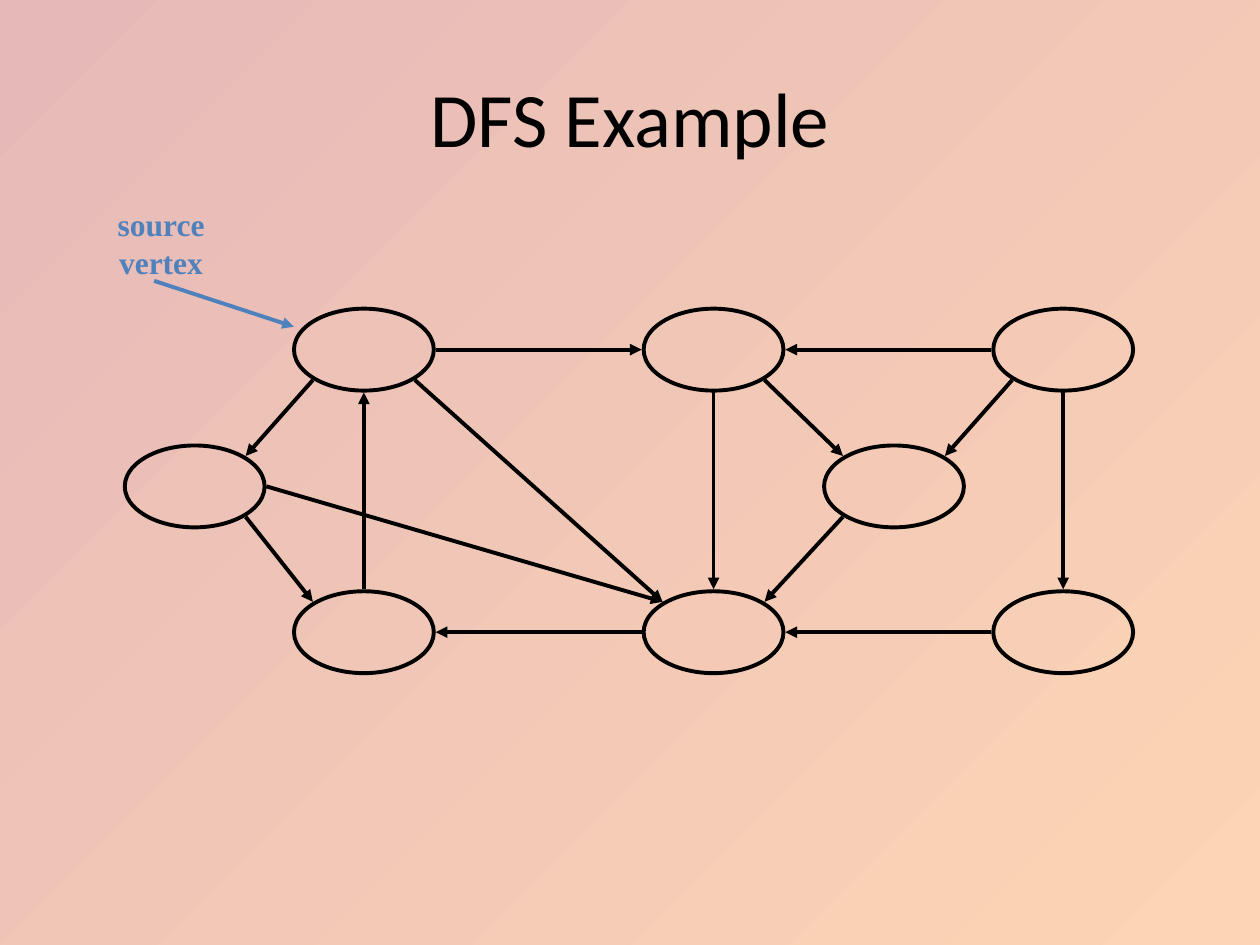
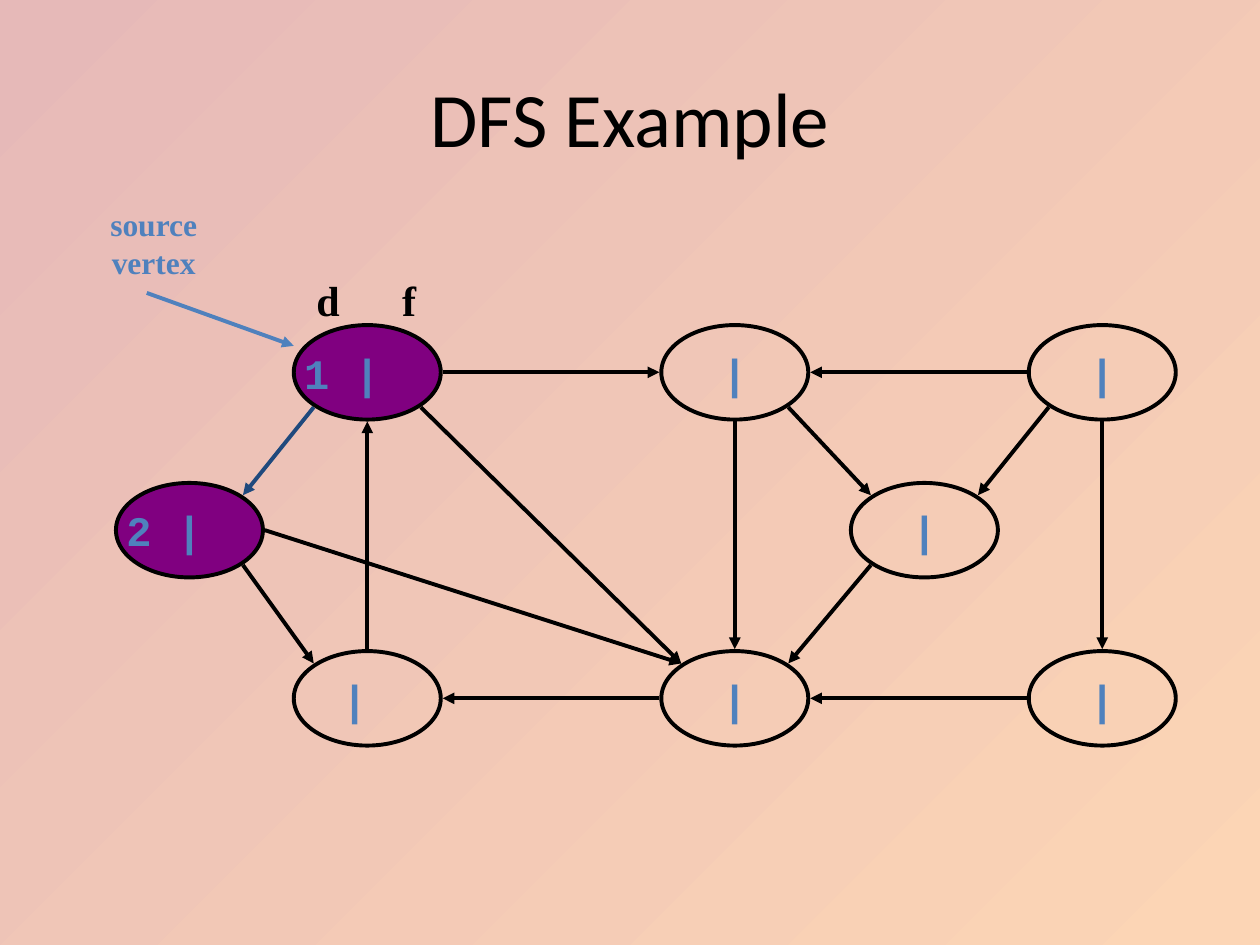
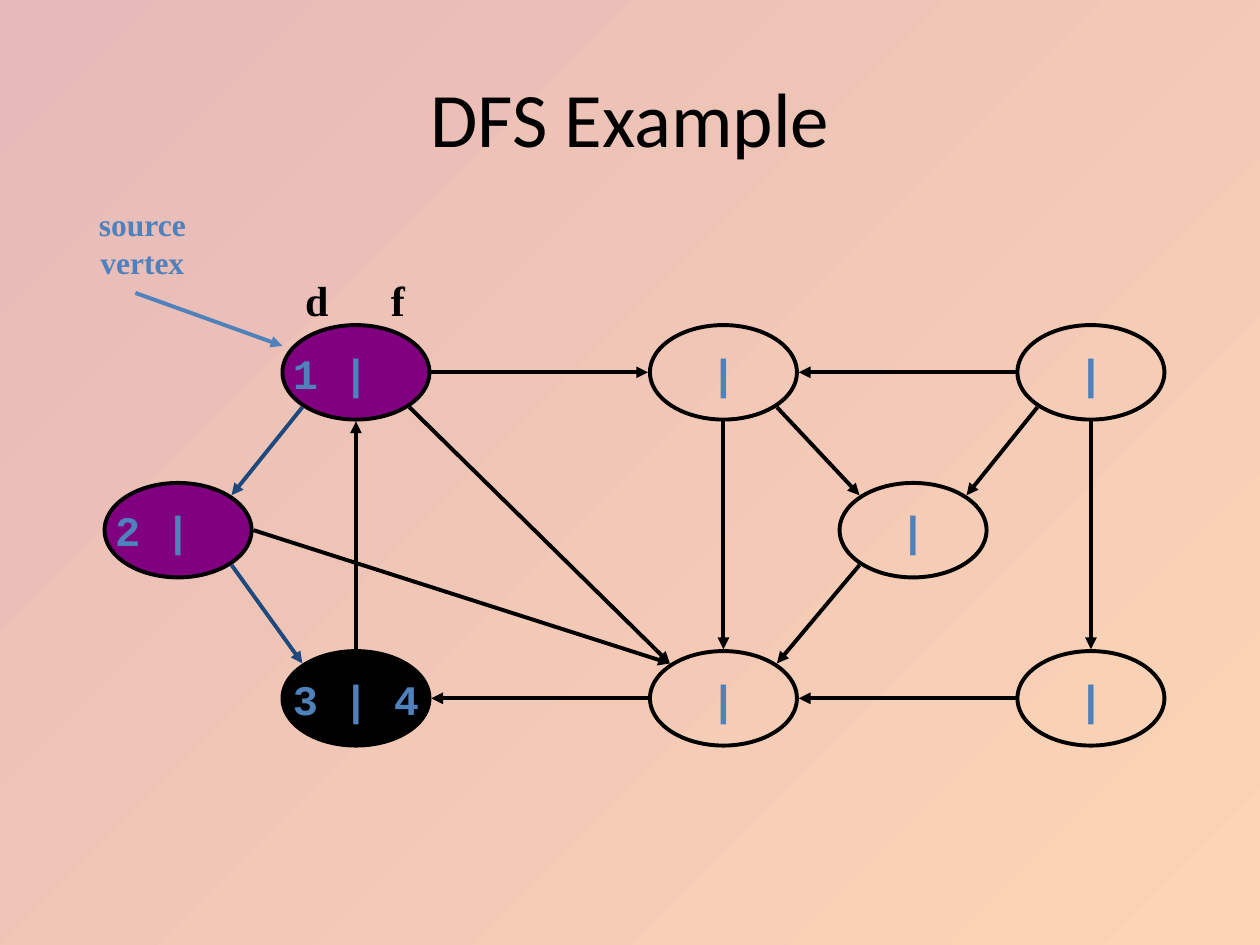
from lxml.etree import SubElement
from pptx import Presentation
from pptx.dml.color import RGBColor
from pptx.enum.shapes import MSO_CONNECTOR, MSO_SHAPE
from pptx.enum.text import MSO_ANCHOR, PP_ALIGN
from pptx.oxml.ns import qn
from pptx.util import Inches, Pt

COLORS = {
    "background_start": "E6B9B8",
    "background_end": "FCD5B5",
    "ink": "000000",
    "accent": "4F81BD",
    "tree_edge": "1F497D",
    "discovered": "800080",
    "finished": "000000",
}

# Column and row of each vertex, in vertex widths and heights.
VERTICES = {
    "source": (1.21, 0), "top": (3.71, 0), "top_right": (6.21, 0),
    "bottom_right": (6.21, 3.45), "bottom": (3.71, 3.45), "bottom_left": (1.21, 3.45),
    "left": (0, 1.67), "right": (5, 1.67),
}

# Direction from a vertex's centre to the place where an edge meets it.
SIDES = {"n": (0, -1), "s": (0, 1), "w": (-1, 0), "e": (1, 0),
         "nw": (-0.71, -0.71), "ne": (0.71, -0.71),
         "sw": (-0.71, 0.71), "se": (0.71, 0.71)}

EDGES = [
    ("source", "sw", "left", "ne"),
    ("left", "se", "bottom_left", "nw"),
    ("left", "e", "bottom", "nw"),
    ("bottom", "w", "bottom_left", "e"),
    ("bottom_left", "n", "source", "s"),
    ("source", "se", "bottom", "nw"),
    ("top", "s", "bottom", "n"),
    ("source", "e", "top", "w"),
    ("top_right", "w", "top", "e"),
    ("top", "se", "right", "nw"),
    ("top_right", "sw", "right", "ne"),
    ("top_right", "s", "bottom_right", "n"),
    ("bottom_right", "w", "bottom", "e"),
    ("right", "sw", "bottom", "ne"),
]

UNVISITED = {name: ("|", 0) for name in VERTICES}
VISITED_TWO = {"source": ("1 |", 0.2), "left": ("2 |", 0.2)}

# "times" holds each vertex's text and how far left of the centre it sits.
STEPS = [
    {"left": 0.99, "top": 2.45, "size": (1.11, 0.65),
     "times": {}, "fills": {}, "tree": []},
    {"left": 0.92, "top": 2.58, "size": (7 / 6, 0.75),
     "times": {**UNVISITED, **VISITED_TWO, "bottom_left": ("|", 0.1)},
     "fills": {"source": "discovered", "left": "discovered"},
     "tree": [("source", "left")]},
    {"left": 0.83, "top": 2.58, "size": (7 / 6, 0.75),
     "times": {**UNVISITED, **VISITED_TWO, "bottom_left": ("3 | 4", 0)},
     "fills": {"source": "discovered", "left": "discovered", "bottom_left": "finished"},
     "tree": [("source", "left"), ("left", "bottom_left")]},
]

LINE_WIDTH = Pt(2.25)
EDGE_GAP = 0.015


def rgb(color):
    return RGBColor.from_string(COLORS[color])


def write(shape, text, font_name, size, color, bold=True, align=PP_ALIGN.CENTER,
          insets=(0, 0), wrap=False, tab=None):
    """Put one middle-anchored paragraph in a shape; insets are left and right."""
    frame = shape.text_frame
    frame.word_wrap = wrap
    frame.vertical_anchor = MSO_ANCHOR.MIDDLE
    frame.margin_left, frame.margin_right = map(Inches, insets)
    frame.margin_top = frame.margin_bottom = 0
    frame.text = text
    paragraph = frame.paragraphs[0]
    paragraph.alignment = align
    if tab:
        tabs = SubElement(paragraph._p.get_or_add_pPr(), qn("a:tabLst"))
        SubElement(tabs, qn("a:tab"), pos=str(Inches(tab)), algn="l")
    font = paragraph.font
    font.name, font.size, font.bold = font_name, Pt(size), bold
    font.color.rgb = rgb(color)


def add_text(slide, box, *args, **options):
    write(slide.shapes.add_textbox(*map(Inches, box)), *args, **options)


def add_arrow(slide, start, end, color):
    arrow = slide.shapes.add_connector(MSO_CONNECTOR.STRAIGHT, *map(Inches, (*start, *end)))
    arrow.line.color.rgb = rgb(color)
    arrow.line.width = LINE_WIDTH
    SubElement(arrow.line._get_or_add_ln(), qn("a:tailEnd"), type="triangle")
    SubElement(arrow._element.spPr, qn("a:effectLst"))


def add_vertex(slide, box, fill, times):
    vertex = slide.shapes.add_shape(MSO_SHAPE.OVAL, *map(Inches, box))
    vertex.shadow.inherit = False
    if fill:
        vertex.fill.solid()
        vertex.fill.fore_color.rgb = rgb(fill)
    else:
        vertex.fill.background()
    vertex.line.color.rgb = rgb("ink")
    vertex.line.width = LINE_WIDTH
    if times:
        text, shift = times
        write(vertex, text, "Courier New", 24, "accent", insets=(0, 2 * shift))


def add_base(presentation):
    """Add a slide with the shared background and title."""
    slide = presentation.slides.add_slide(presentation.slide_layouts[6])
    fill = slide.background.fill
    fill.gradient()
    fill.gradient_angle = 315
    for stop, color in zip(fill.gradient_stops, ("background_start", "background_end")):
        stop.color.rgb = rgb(color)
    add_text(slide, (0.5, 0.3, 9, 1.25), "DFS Example", "Calibri", 44, "ink",
             bold=False, wrap=True)
    return slide


def add_step(presentation, step):
    slide = add_base(presentation)
    width, height = step["size"]
    corners = {name: (step["left"] + column * width, step["top"] + row * height)
               for name, (column, row) in VERTICES.items()}

    def meeting_point(name, side):
        (left, top), (across, down) = corners[name], SIDES[side]
        return (left + width / 2 + across * (width / 2 + EDGE_GAP),
                top + height / 2 + down * (height / 2 + EDGE_GAP))

    for name, corner in corners.items():
        add_vertex(slide, (*corner, width, height),
                   step["fills"].get(name), step["times"].get(name))
    for tail, tail_side, head, head_side in EDGES:
        color = "tree_edge" if (tail, head) in step["tree"] else "ink"
        add_arrow(slide, meeting_point(tail, tail_side), meeting_point(head, head_side), color)

    left, top = corners["source"]
    tip = (left, top + 0.22 * height)
    start = (left - width, tip[1] - 0.56 * height)
    add_arrow(slide, start, tip, "accent")
    add_text(slide, (start[0] - 0.39, 1.58, 0.89, 0.7), "source\vvertex",
             "Times New Roman", 18, "accent")
    if step["times"]:
        add_text(slide, (left, 2, width, 0.75), "d\tf", "Times New Roman", 24, "ink",
                 align=PP_ALIGN.LEFT, insets=(0.18, 0), wrap=True, tab=0.68)


def main():
    presentation = Presentation()
    presentation.slide_width, presentation.slide_height = Inches(10), Inches(7.5)
    for step in STEPS:
        add_step(presentation, step)
    presentation.save("out.pptx")


if __name__ == "__main__":
    main()
